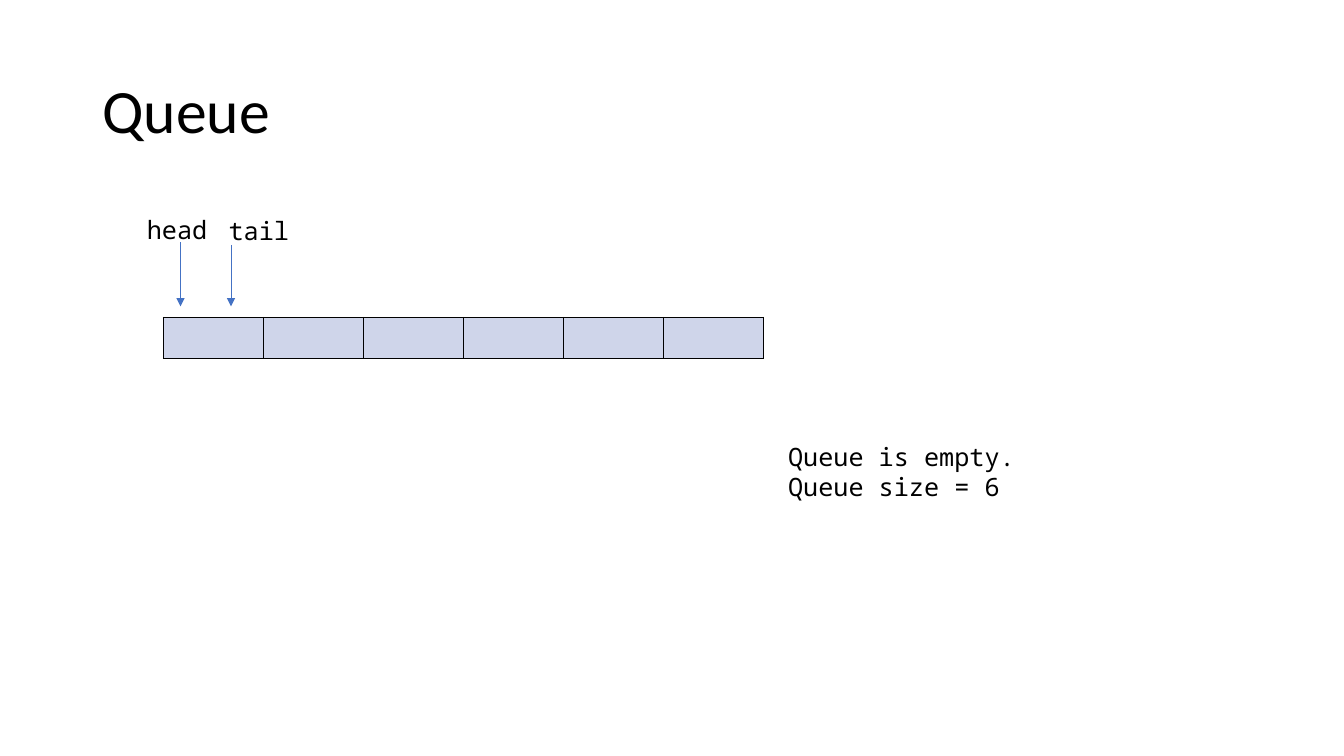
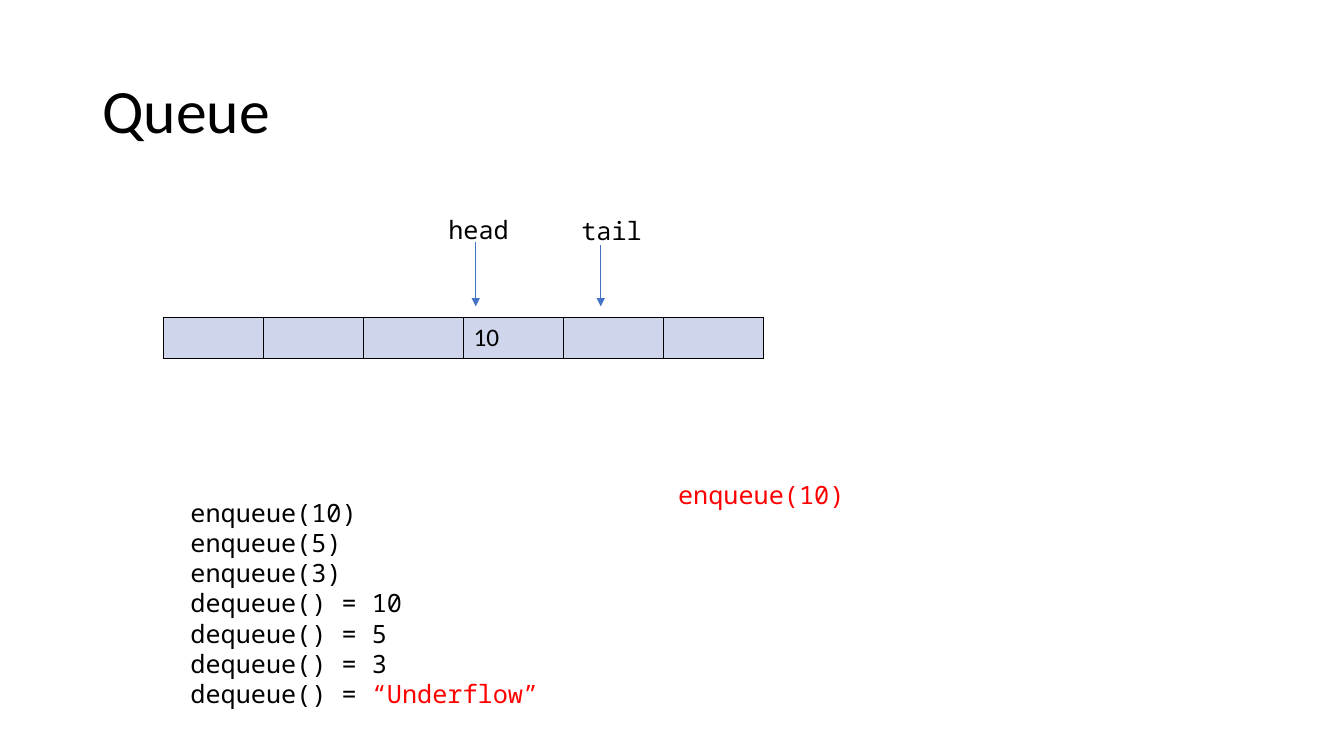
from pptx import Presentation
from pptx import util as u
from pptx.dml.color import RGBColor
from pptx.enum import shapes, text
from pptx.oxml import parse_xml
from pptx.oxml.ns import nsdecls

Cm, Pt = u.Cm, u.Pt
BLACK = RGBColor(0x00, 0x00, 0x00)
RED = RGBColor(0xFF, 0x00, 0x00)
BLUE = RGBColor(0x44, 0x72, 0xC4)
PALE = RGBColor(0xCF, 0xD5, 0xEA)
SANS, MONO = "Calibri", "Noto Sans Mono"

# Shared boxes in cm: left, top, width, height
TITLE = (2.33, 1.01, 29.21, 3.68)
ROW = (4.12, 8.0, 15.12, 1.03)
SLOTS = 6
TIP = 0.28  # gap between an arrow tip and the row
# Pointer heights above the row: label top, arrow start
HEAD = ("head", 2.72, 1.9)
TAIL = ("tail", 2.69, 1.83)


def style(font, face, size, color=BLACK):
    font.name, font.size = face, Pt(size)
    font.color.rgb = color


def add_page(deck, title):
    page = deck.slides.add_slide(deck.slide_layouts[5])
    head = page.shapes.title
    head.left, head.top, head.width, head.height = map(Cm, TITLE)
    head.text_frame.text = title
    head.text_frame.vertical_anchor = text.MSO_ANCHOR.MIDDLE
    para = head.text_frame.paragraphs[0]
    para.alignment, para.line_spacing = text.PP_ALIGN.LEFT, 0.9
    style(para.font, SANS, 44)
    return page


def add_text(page, box, lines, color=BLACK):
    """Each line is a string, or a plain part and a red part."""
    frame = page.shapes.add_textbox(*map(Cm, box)).text_frame
    frame.word_wrap = True
    frame.auto_size = text.MSO_AUTO_SIZE.SHAPE_TO_FIT_TEXT
    for i, line in enumerate(lines):
        para = frame.add_paragraph() if i else frame.paragraphs[0]
        style(para.font, MONO, 18, color)
        plain, red = (line, "") if isinstance(line, str) else line
        para.add_run().text = plain
        if red:
            run = para.add_run()
            run.text = red
            run.font.color.rgb = RED


def add_border(cell):
    props = cell._tc.get_or_add_tcPr()
    for i, side in enumerate("LRTB"):
        props.insert(i, parse_xml(
            f'<a:ln{side} {nsdecls("a")} w="12700"><a:solidFill>'
            f'<a:srgbClr val="{BLACK}"/></a:solidFill></a:ln{side}>'))


def add_row(page, box, items):
    """Draw the queue; items maps a slot number to its value."""
    table = page.shapes.add_table(1, SLOTS, *map(Cm, box)).table
    table.first_row = table.horz_banding = False
    for i in range(SLOTS):
        table.columns[i].width = Cm(box[2] / SLOTS)
        cell = table.cell(0, i)
        cell.text = items.get(i, "")
        style(cell.text_frame.paragraphs[0].font, SANS, 18)
        cell.fill.solid()
        cell.fill.fore_color.rgb = PALE
        add_border(cell)


def add_mark(page, box, kind, label, arrow):
    """Point at the row; label and arrow are offsets from its left."""
    name, rise, start = kind
    left, top = box[:2]
    x = Cm(left + arrow)
    line = page.shapes.add_connector(
        shapes.MSO_CONNECTOR.STRAIGHT, x, Cm(top - start), x, Cm(top - TIP))
    line.line.color.rgb, line.line.width = BLUE, Pt(0.5)
    line.line._get_or_add_ln().append(
        parse_xml(f'<a:tailEnd {nsdecls("a")} type="triangle"/>'))
    line._element.spPr.append(parse_xml(f'<a:effectLst {nsdecls("a")}/>'))
    add_text(page, (left + label, top - rise, 2.57, 1.02), [name])


def add_queue(page, box, items, head, tail):
    add_row(page, box, items)
    add_mark(page, box, TAIL, *tail)
    add_mark(page, box, HEAD, *head)


def main():
    deck = Presentation()
    deck.slide_width, deck.slide_height = Cm(33.87), Cm(19.05)

    # Empty queue
    page = add_page(deck, "Queue")
    add_queue(page, ROW, {}, head=(-0.67, 0.43), tail=(1.39, 1.7))
    add_text(page, (19.61, 11, 10.49, 1.8),
             ["Queue is empty.", "Queue size = 6"])

    # First value added
    page = add_page(deck, "Queue")
    add_queue(page, ROW, {3: "10"}, head=(6.93, 7.87), tail=(10.28, 11.02))
    add_text(page, (4.55, 12.4, 9.4, 5.64), [
        "enqueue(10)", "enqueue(5)", "enqueue(3)",
        "dequeue() = 10", "dequeue() = 5", "dequeue() = 3",
        ("dequeue() = ", "“Underflow”")])
    add_text(page, (16.84, 11.96, 9.4, 1.02), ["enqueue(10)"], RED)

    deck.save("out.pptx")


if __name__ == "__main__":
    main()
